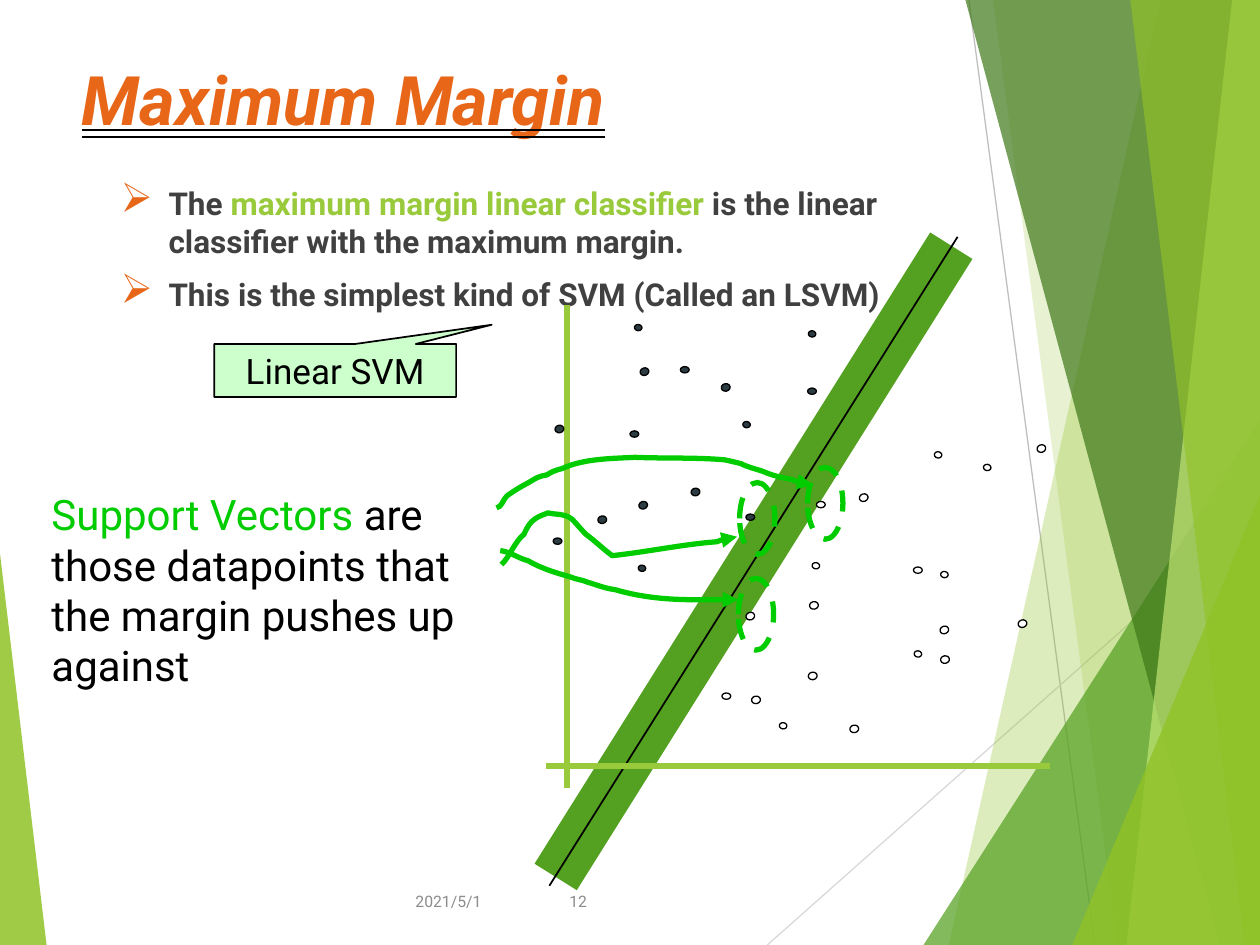
from lxml import etree
from pptx import Presentation
from pptx import util as u
from pptx.dml.color import RGBColor
from pptx.enum import dml, shapes, text
from pptx.oxml import ns

FONT = "Roboto"
ORANGE, LIME, LEAF, SIGNAL = "E76618", "99CA3C", "54A021", "00CC00"
BLACK, WHITE, SLATE, CHARCOAL, GREY = "000000", "FFFFFF", "2C3C43", "404040", "8C8C8C"
FACET = "90C226"


def rgb(value):
    return RGBColor.from_string(value)


def add_xml(parent, tag, **attributes):
    return etree.SubElement(parent, ns.qn(tag), attributes)


class Board:
    """Holds the slide and draws each kind of element in its style."""

    def __init__(self, slide):
        self.slide = slide
        self.shapes = slide.shapes

    def style(self, shape, fill=None, alpha=100, line=None, width=0.75):
        shape.shadow.inherit = False
        if fill:
            shape.fill.solid()
            shape.fill.fore_color.rgb = rgb(fill)
            if alpha < 100:
                color = shape._element.spPr.find(".//" + ns.qn("a:srgbClr"))
                add_xml(color, "a:alpha", val=str(alpha * 1000))
        else:
            shape.fill.background()
        if line:
            shape.line.color.rgb = rgb(line)
            shape.line.width = u.Pt(width)
        else:
            shape.line.fill.background()
        return shape

    def shape(self, kind, at, adjust=(), rotation=0, **look):
        shape = self.shapes.add_shape(kind, *map(u.Inches, at))
        for index, value in enumerate(adjust):
            shape.adjustments[index] = value
        shape.rotation = rotation
        return self.style(shape, **look)

    def outline(self, points, close=True, **look):
        corners = [(u.Inches(x), u.Inches(y)) for x, y in points]
        builder = self.shapes.build_freeform(*corners[0])
        builder.add_line_segments(corners[1:], close=close)
        return self.style(builder.convert_to_shape(), **look)

    def curved_arrow(self, points, color):
        """Points are a start, then two controls and an end for each curve."""
        arrow = self.outline(points, close=False, line=color, width=3)
        track = arrow._element.find(".//" + ns.qn("a:path"))
        steps = track.findall(ns.qn("a:lnTo"))
        for first in range(0, len(steps), 3):
            curve = add_xml(track, "a:cubicBezTo")
            for step in steps[first:first + 3]:
                curve.append(step[0])
                track.remove(step)
        add_xml(arrow.line._get_or_add_ln(), "a:tailEnd", type="triangle")

    def line(self, start, end, color, width):
        line = self.shapes.add_connector(
            shapes.MSO_CONNECTOR.STRAIGHT, *map(u.Inches, (*start, *end)))
        line.line.color.rgb = rgb(color)
        line.line.width = u.Pt(width)
        add_xml(line._element.spPr, "a:effectLst")

    def fill_paragraph(self, para, spans, size, bold=False, align=text.PP_ALIGN.LEFT):
        para.alignment = align
        font = para.font
        font.name, font.size, font.bold = FONT, u.Pt(size), bold
        for words, color in spans:
            span = para.add_run()
            span.text = words
            span.font.color.rgb = rgb(color)

    def text(self, at, paragraphs, size, bullet=None, anchor=text.MSO_ANCHOR.TOP, **look):
        frame = self.shapes.add_textbox(*map(u.Inches, at)).text_frame
        frame.word_wrap = True
        frame.vertical_anchor = anchor
        for index, spans in enumerate(paragraphs):
            para = frame.add_paragraph() if index else frame.paragraphs[0]
            para.space_before = u.Pt(size / 2 if index else 0)
            if bullet:
                self.bullet(para, bullet)
            self.fill_paragraph(para, spans, size, **look)

    def bullet(self, para, color):
        props = para._p.get_or_add_pPr()
        props.set("marL", str(u.Inches(0.38)))
        props.set("indent", str(-u.Inches(0.38)))
        add_xml(add_xml(props, "a:buClr"), "a:srgbClr", val=color)
        add_xml(props, "a:buSzPct", val="130000")
        add_xml(props, "a:buChar", char="➢")

    def title(self, at, words, size, color):
        title = self.shapes.title
        title.left, title.top, title.width, title.height = map(u.Inches, at)
        frame = title.text_frame
        frame.vertical_anchor = text.MSO_ANCHOR.MIDDLE
        para = frame.paragraphs[0]
        para.line_spacing = 0.9
        self.fill_paragraph(para, [(words, color)], size, bold=True)
        para.font.italic = True
        font = para.runs[0].font
        font.underline = text.MSO_UNDERLINE.DOUBLE_LINE
        underline = add_xml(add_xml(font._rPr, "a:uFill"), "a:solidFill")
        add_xml(underline, "a:srgbClr", val=BLACK)


def draw_facets(board):
    top, bottom, right = -0.01, 7.5, 10
    triangle = shapes.MSO_SHAPE.ISOSCELES_TRIANGLE

    def band(top_left, bottom_left, color, alpha):
        board.outline([(top_left, top), (right, top), (right, bottom), (bottom_left, bottom)],
                      fill=color, alpha=alpha)

    board.line((7.69, 0), (8.69, 7.5), "BFBFBF", 0.75)
    board.line((10, 4.03), (6.09, 7.5), "D9D9D9", 0.75)
    band(9.21, 7.53, FACET, 30)
    band(7.88, 8.87, FACET, 20)
    board.shape(triangle, (7.33, 3.33, 2.67, 4.17), [1], fill=LEAF, alpha=72)
    band(7.66, 9.68, "3F7819", 70)
    band(9.78, 8.94, "C0E474", 70)
    band(8.97, 9.88, FACET, 65)
    board.shape(triangle, (8.51, 3.93, 1.49, 3.57), [1], fill=FACET, alpha=80)
    board.shape(triangle, (0, 4.39, 0.37, 3.11), [0], fill=FACET, alpha=85)


# Datapoints: rotation, width, height, filled corners, open corners
DOTS = [
    (0, 0.07, 0.05,
     [(4.39, 4.27), (6.41, 3.08), (5.4, 2.91), (5.92, 4.08), (5, 3.42)],
     [(5.73, 5.5), (6.48, 3.98), (7.25, 4.5)]),
    (341.4, 0.07, 0.06,
     [(5.08, 2.92), (5.07, 3.98)],
     [(5.92, 4.86), (8.23, 3.53), (7.46, 4.97), (6.82, 3.92), (8.08, 4.92)]),
    (98.3, 0.05, 0.06,
     [(5.9, 3.34), (5.07, 4.48), (6.42, 2.62), (5.04, 2.57)],
     [(6.19, 5.73), (7.47, 4.53), (6.45, 4.46), (7.81, 3.68), (7.42, 3.58), (7.26, 5.16)]),
    (79.6, 0.06, 0.07,
     [(5.49, 3.87), (4.75, 4.09), (5.73, 3.04), (4.41, 3.37)],
     [(6.75, 5.75), (6.42, 5.33), (6.43, 4.77), (5.97, 5.52), (7.47, 5.2)]),
]

ARROWS = [
    [(3.98, 4.48), (4.04, 4.43), (4.09, 4.29), (4.16, 4.24), (4.21, 4.11), (4.28, 4.1),
     (4.35, 4.07), (4.43, 4.09), (4.47, 4.07), (4.54, 4.12), (4.58, 4.16), (4.61, 4.2),
     (4.65, 4.24), (4.72, 4.29), (4.79, 4.36), (4.86, 4.41), (5.14, 4.38), (5.42, 4.32),
     (5.69, 4.3), (5.74, 4.28), (5.8, 4.26), (5.85, 4.26)],
    [(3.94, 4.03), (3.98, 4.03), (3.99, 3.97), (4.02, 3.94), (4.04, 3.92), (4.14, 3.86),
     (4.16, 3.85), (4.22, 3.82), (4.26, 3.78), (4.34, 3.77), (4.37, 3.75), (4.41, 3.73),
     (4.46, 3.72), (4.63, 3.64), (4.85, 3.64), (5.04, 3.63), (5.28, 3.64), (5.52, 3.63),
     (5.75, 3.65), (5.8, 3.66), (5.84, 3.67), (5.88, 3.68), (5.94, 3.71), (5.99, 3.72),
     (6.05, 3.74), (6.12, 3.77), (6.19, 3.79), (6.26, 3.8), (6.32, 3.82), (6.39, 3.85),
     (6.45, 3.85)],
    [(3.97, 4.37), (4.05, 4.38), (4.11, 4.43), (4.19, 4.45), (4.29, 4.51), (4.42, 4.55),
     (4.53, 4.58), (4.57, 4.6), (4.62, 4.6), (4.66, 4.62), (4.73, 4.64), (4.8, 4.67),
     (4.88, 4.68), (5.19, 4.77), (5.54, 4.76), (5.86, 4.76)],
]


def main():
    deck = Presentation()
    deck.slide_width, deck.slide_height = u.Inches(10), u.Inches(7.5)
    board = Board(deck.slides.add_slide(deck.slide_layouts[5]))
    oval = shapes.MSO_SHAPE.OVAL
    draw_facets(board)

    # Title, bullets and footer
    board.title((0.55, 0.39, 5.16, 0.86), "Maximum Margin", 39, ORANGE)
    board.text((0.86, 1.41, 6.94, 1.07), [
        [("The ", CHARCOAL), ("maximum margin linear classifier", LIME),
         (" is the linear classifier with the maximum margin.", CHARCOAL)],
        [("This is the simplest kind of SVM (Called an LSVM)", CHARCOAL)],
    ], 18, bullet=ORANGE, bold=True)
    middle = text.MSO_ANCHOR.MIDDLE
    board.text((0.92, 6.95, 3, 0.4), [[("2021/5/1", GREY)]], 9, anchor=middle,
               align=text.PP_ALIGN.RIGHT)
    board.text((4.42, 6.95, 4.5, 0.4), [[("12", GREY)]], 9, anchor=middle)

    # Margin, boundary and axes
    board.line((4.41, 6.96), (7.55, 1.95), LEAF, 28.5)
    board.line((4.36, 7.03), (7.6, 1.88), BLACK, 1)
    board.line((4.5, 2.42), (4.5, 6.25), LIME, 3)
    board.line((4.33, 6.08), (8.33, 6.08), LIME, 3)

    # Datapoints of both classes
    for rotation, width, height, filled, hollow in DOTS:
        for color, corners in ((SLATE, filled), (WHITE, hollow)):
            for x, y in corners:
                board.shape(oval, (x, y, width, height), rotation=rotation,
                            fill=color, line=BLACK)

    # Support vectors
    board.text((0.31, 3.83, 3.52, 1.72), [
        [("Support Vectors ", SIGNAL),
         ("are those datapoints that the margin pushes up against", BLACK)]], 24)
    for points in ARROWS:
        board.curved_arrow(points, SIGNAL)
    for x, y in ((6.41, 3.71), (5.87, 3.83), (5.86, 4.59)):
        ring = board.shape(oval, (x, y, 0.28, 0.57), line=SIGNAL, width=3)
        ring.line.dash_style = dml.MSO_LINE.DASH

    # Callout
    callout = board.shape(shapes.MSO_SHAPE.RECTANGULAR_CALLOUT, (1.7, 2.73, 1.92, 0.42),
                          [0.647, -0.863], fill="CCFFCC", line=BLACK, width=1)
    board.fill_paragraph(callout.text_frame.paragraphs[0], [("Linear SVM", BLACK)], 20,
                         align=text.PP_ALIGN.CENTER)

    deck.save("out.pptx")


if __name__ == "__main__":
    main()
